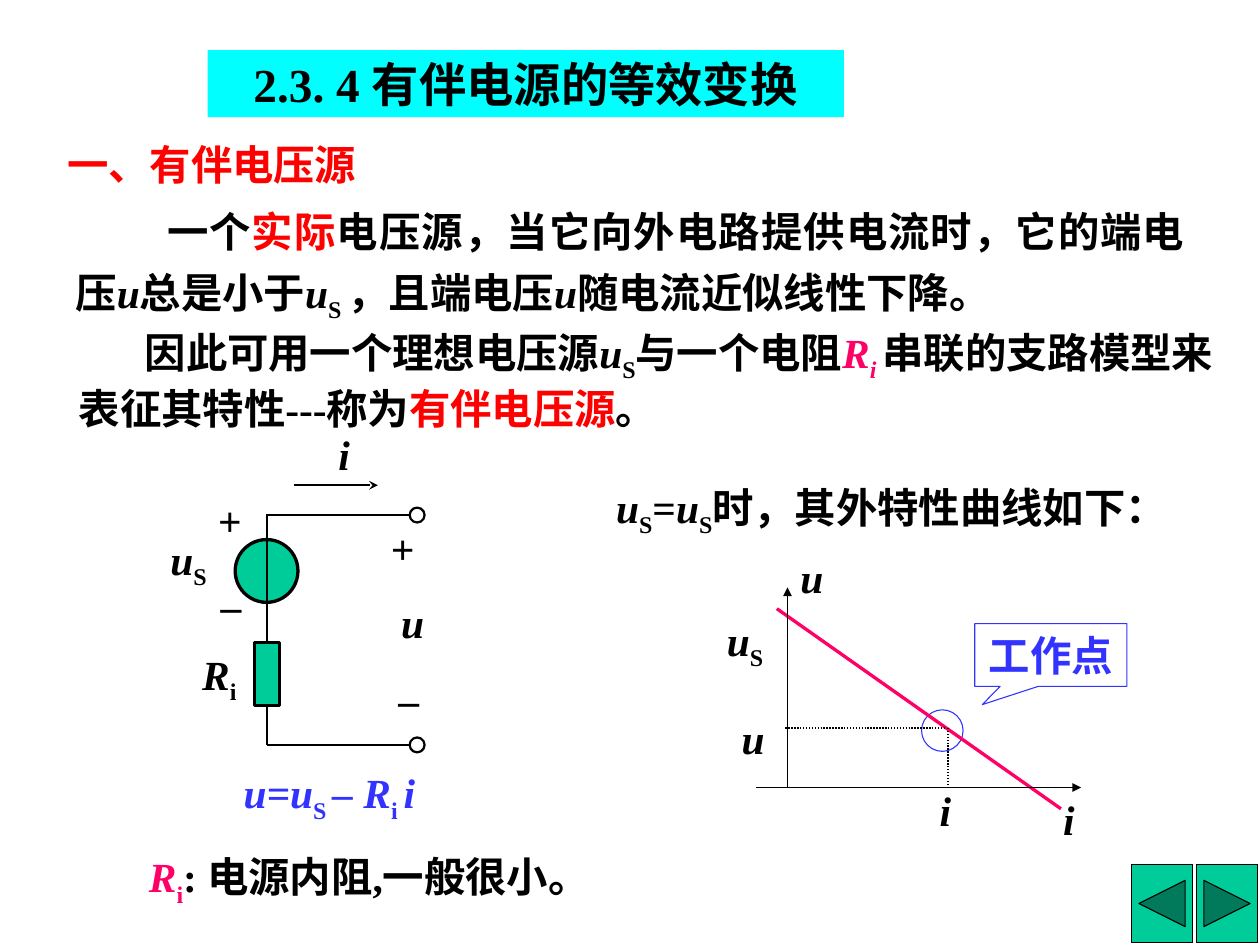
"""Build the slide on equivalent transformation of accompanied voltage sources."""
from dataclasses import dataclass
from typing import Optional

from lxml.etree import SubElement
from pptx import Presentation
from pptx.dml.color import RGBColor
from pptx.enum.dml import MSO_LINE
from pptx.enum.shapes import MSO_CONNECTOR, MSO_SHAPE
from pptx.enum.text import MSO_ANCHOR, PP_ALIGN
from pptx.oxml.ns import qn
from pptx.shapes.autoshape import Shape
from pptx.shapes.connector import Connector
from pptx.text.text import TextFrame
from pptx.util import Pt

PX = 9144
FONT = "Times New Roman"
BLACK = RGBColor(0x00, 0x00, 0x00)
WHITE = RGBColor(0xFF, 0xFF, 0xFF)
RED = RGBColor(0xFF, 0x00, 0x00)
PINK = RGBColor(0xFF, 0x00, 0x66)
BLUE = RGBColor(0x33, 0x33, 0xFF)
GREEN = RGBColor(0x00, 0xCC, 0x99)
CYAN = RGBColor(0x00, 0xFF, 0xFF)


@dataclass(frozen=True)
class Bit:
    text: str
    ink: RGBColor = BLACK
    slant: bool = False
    low: bool = False


@dataclass(frozen=True)
class Label:
    left: int
    top: int
    width: int
    bits: tuple[Bit, ...]
    height: int = 59
    align: PP_ALIGN = PP_ALIGN.LEFT
    indent: int = 0
    gap: float = 1.0


@dataclass(frozen=True)
class Form:
    kind: MSO_SHAPE
    left: int
    top: int
    width: int
    height: int
    fill: Optional[RGBColor] = GREEN
    ink: RGBColor = BLACK
    weight: float = 0.75


@dataclass(frozen=True)
class Wire:
    start: tuple[int, int]
    end: tuple[int, int]
    weight: float = 1.5
    ink: RGBColor = BLACK
    head: str = ""
    dots: bool = False


def slant(text: str, ink: RGBColor = BLACK) -> Bit:
    return Bit(text, ink, slant=True)


def low(text: str, ink: RGBColor = BLACK) -> Bit:
    return Bit(text, ink, low=True)


def write(frame: TextFrame, bits: tuple[Bit, ...], *, size: int = 28,
          align: PP_ALIGN = PP_ALIGN.LEFT, indent: int = 0, gap: float = 1.0,
          anchor: MSO_ANCHOR = MSO_ANCHOR.TOP, wrap: bool = True) -> None:
    frame.word_wrap = wrap
    frame.vertical_anchor = anchor
    frame.margin_left = frame.margin_right = 12 * PX
    frame.margin_top = frame.margin_bottom = 6 * PX
    para = frame.paragraphs[0]
    para.alignment = align
    para.line_spacing = gap
    if indent:
        para._p.get_or_add_pPr().set("indent", str(indent * PX))
    for bit in bits:
        run = para.add_run()
        run.text = bit.text
        font = run.font
        font.name, font.size, font.bold = FONT, Pt(size), True
        font.italic = bit.slant
        font.color.rgb = bit.ink
        if bit.low:
            run._r.get_or_add_rPr().set("baseline", "-25000")


def place(label: Label) -> None:
    box = slide.shapes.add_textbox(label.left * PX, label.top * PX,
                                   label.width * PX, label.height * PX)
    write(box.text_frame, label.bits, align=label.align,
          indent=label.indent, gap=label.gap)


def draw(form: Form) -> Shape:
    shape = slide.shapes.add_shape(form.kind, form.left * PX, form.top * PX,
                                   form.width * PX, form.height * PX)
    shape.shadow.inherit = False
    if form.fill is None:
        shape.fill.background()
    else:
        shape.fill.solid()
        shape.fill.fore_color.rgb = form.fill
    shape.line.color.rgb = form.ink
    shape.line.width = Pt(form.weight)
    return shape


def link(wire: Wire) -> Connector:
    ends = [value * PX for value in wire.start + wire.end]
    joint = slide.shapes.add_connector(MSO_CONNECTOR.STRAIGHT, *ends)
    joint.line.color.rgb = wire.ink
    joint.line.width = Pt(wire.weight)
    if wire.dots:
        joint.line.dash_style = MSO_LINE.ROUND_DOT
    if wire.head:
        SubElement(joint.line._get_or_add_ln(), qn("a:tailEnd"), type=wire.head)
    SubElement(joint._element.spPr, qn("a:effectLst"))
    return joint


deck = Presentation()
deck.slide_width, deck.slide_height = 1184 * PX, 888 * PX
slide = deck.slides.add_slide(deck.slide_layouts[5])

title = slide.shapes.title
title.left, title.top, title.width, title.height = (
    value * PX for value in (195, 47, 598, 63))
title.fill.solid()
title.fill.fore_color.rgb = CYAN
write(title.text_frame, (Bit("2.3. 4 有伴电源的等效变换"),), size=32,
      align=PP_ALIGN.CENTER, anchor=MSO_ANCHOR.MIDDLE)

FORMS = (
    Form(MSO_SHAPE.ACTION_BUTTON_BACK_OR_PREVIOUS, 1063, 812, 58, 74),
    Form(MSO_SHAPE.ACTION_BUTTON_FORWARD_OR_NEXT, 1124, 812, 58, 74),
    Form(MSO_SHAPE.OVAL, 866, 667, 39, 39, WHITE, BLUE),
    Form(MSO_SHAPE.OVAL, 221, 507, 59, 59, weight=2.25),
    Form(MSO_SHAPE.OVAL, 385, 477, 14, 14, None, weight=1.5),
    Form(MSO_SHAPE.OVAL, 385, 693, 14, 14, None, weight=1.5),
)
for form in FORMS:
    draw(form)

note = draw(Form(MSO_SHAPE.RECTANGULAR_CALLOUT, 916, 586, 143, 59, WHITE, BLUE))
note.adjustments[0], note.adjustments[1] = -0.45, 0.79
write(note.text_frame, (Bit("工作点", BLUE),), align=PP_ALIGN.CENTER,
      anchor=MSO_ANCHOR.MIDDLE, wrap=False)

load = draw(Form(MSO_SHAPE.RECTANGLE, 239, 604, 24, 59, weight=2.25))
link(Wire((251, 484), (251, 604))).end_connect(load, 0)
link(Wire((251, 663), (251, 700))).begin_connect(load, 2)

WIRES = (
    Wire((250, 484), (385, 484)),
    Wire((251, 700), (385, 700)),
    Wire((276, 456), (355, 456), head="stealth"),
    Wire((730, 572), (997, 760), 2.25, PINK),
    Wire((710, 740), (1016, 740), 1, head="triangle"),
    Wire((740, 740), (740, 552), 1, head="triangle"),
    Wire((738, 684), (889, 684), 1, dots=True),
    Wire((891, 684), (891, 741), 1, dots=True),
)
for wire in WIRES:
    link(wire)

U, I, US = (slant("u"),), (slant("i"),), (slant("u"), low("S"))
LABELS = (
    Label(51, 125, 371, (Bit("一、有伴电压源", RED),)),
    Label(59, 178, 1066, (
        Bit("一个"), Bit("实际", RED),
        Bit("电压源，当它向外电路提供电流时，它的端电压"), *U,
        Bit("总是小于"), slant("u"), low("S "), Bit("，且端电压"), *U,
        Bit("随电流近似线性下降。")),
        height=124, align=PP_ALIGN.JUSTIFY, indent=86, gap=1.2),
    Label(62, 301, 1093, (
        Bit("因此可用一个理想电压源"), *US, Bit("与一个电阻"),
        slant("R", PINK), Bit("i ", PINK, slant=True, low=True),
        Bit("串联的支路模型来表征其特性---称为"),
        Bit("有伴电压源", RED), Bit("。")), height=105, indent=62),
    Label(567, 447, 553, (
        *US, Bit("="), *US, Bit("时，其外特性曲线如下："))),
    Label(217, 715, 227, (
        slant("u=u", BLUE), low("S ", BLUE), slant("– R", BLUE),
        low("i ", BLUE), slant("i", BLUE))),
    Label(128, 794, 444, (
        slant("R", PINK), low("i", PINK), Bit(": 电源内阻,一般很小。"))),
    Label(306, 397, 49, I),
    Label(193, 459, 46, (Bit("+"),), align=PP_ALIGN.CENTER),
    Label(195, 526, 44, (Bit("_"),), align=PP_ALIGN.CENTER),
    Label(148, 496, 69, US),
    Label(178, 604, 59, (slant("R"), low("i"))),
    Label(355, 486, 59, (slant("+"),)),
    Label(365, 555, 59, U),
    Label(365, 614, 59, (slant("_"),)),
    Label(740, 513, 49, U),
    Label(987, 740, 39, I),
    Label(671, 572, 69, US),
    Label(685, 664, 44, U),
    Label(871, 732, 39, I),
)
for label in LABELS:
    place(label)

deck.save("out.pptx")
